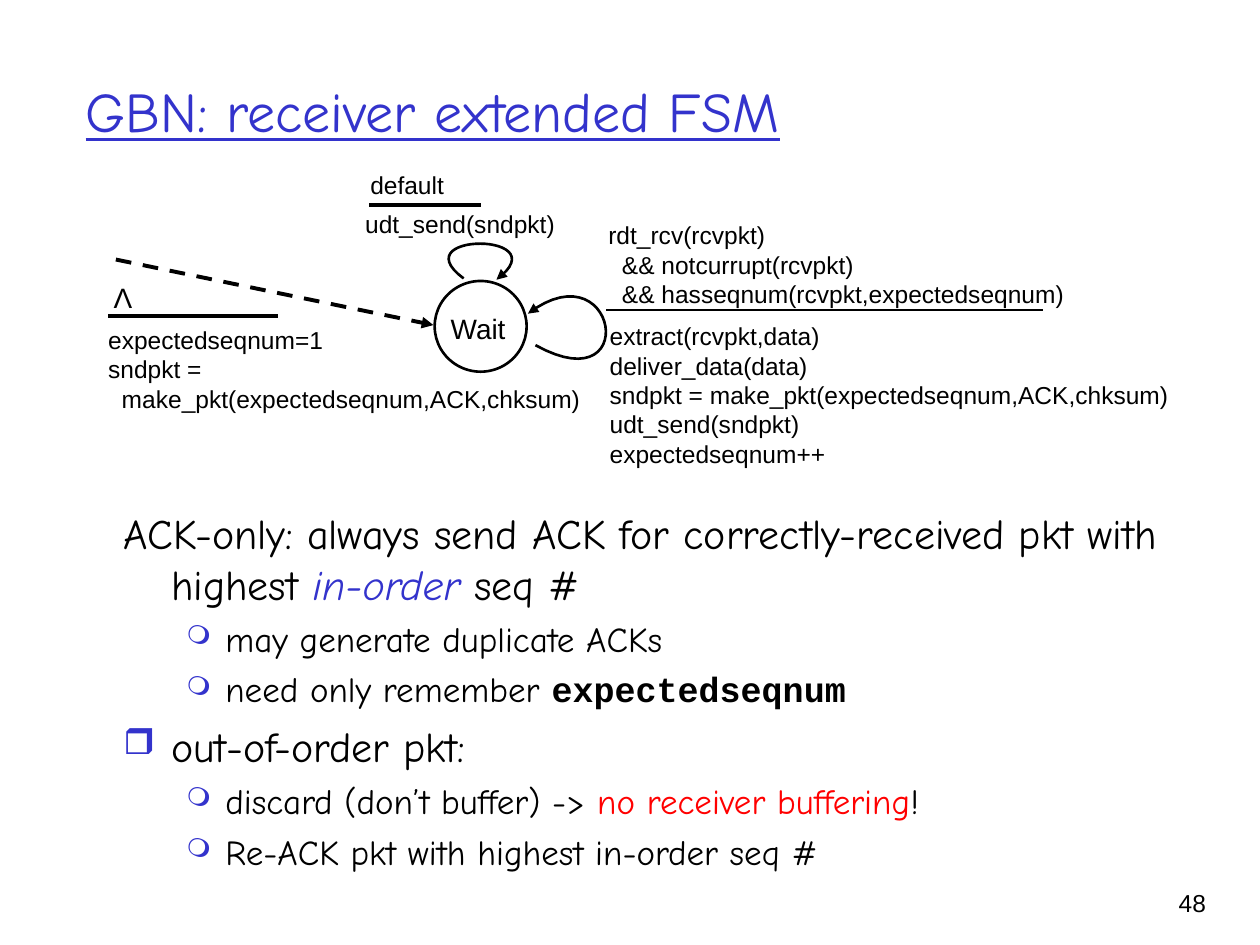
from pptx import Presentation
from pptx.dml.color import RGBColor
from pptx.enum.dml import MSO_LINE
from pptx.enum.shapes import MSO_CONNECTOR, MSO_SHAPE
from pptx.enum.text import MSO_ANCHOR, PP_ALIGN
from pptx.oxml.ns import qn
from pptx.util import Inches, Pt
from lxml.etree import SubElement

BLACK = RGBColor(0, 0, 0)
WHITE = RGBColor(255, 255, 255)
BLUE = RGBColor(0x33, 0x33, 0xCC)
RED = RGBColor(255, 0, 0)


def add_run(p, text, color=BLACK, **fmt):
    r = p.add_run()
    r.text = text
    r.font.color.rgb = color
    for name, value in fmt.items():
        setattr(r.font, name, value)


def style_line(sp, width, arrow=False, dash=None):
    sp.line.color.rgb = BLACK
    sp.line.width = Pt(width)
    if dash:
        sp.line.dash_style = dash
    spPr = sp._element.spPr
    if arrow:
        SubElement(spPr.find(qn("a:ln")), qn("a:tailEnd"), type="triangle")
    SubElement(spPr, qn("a:effectLst"))


prs = Presentation()
prs.slide_width, prs.slide_height = Inches(10), Inches(7.5)
s = prs.slides.add_slide(prs.slide_layouts[5])

title = s.shapes.title
title.left, title.top, title.width, title.height = [Inches(v) for v in (0.58, 0.25, 8.5, 1.25)]
tf = title.text_frame
tf.vertical_anchor = MSO_ANCHOR.MIDDLE
p = tf.paragraphs[0]
p.alignment = PP_ALIGN.LEFT
add_run(p, "GBN: receiver extended FSM", BLUE, name="Comic Neue", size=Pt(32), underline=True)

# level, bullet, runs
body = [
    (0, None, [("ACK-only: always send ACK for correctly-received pkt with highest ", {}),
               ("in-order", {"color": BLUE, "italic": True}), (" seq #", {})]),
    (1, "❍", [("may generate duplicate ACKs", {})]),
    (1, "❍", [("need only remember ", {}), ("expectedseqnum", {"name": "Courier New", "bold": True})]),
    (0, "❒", [("out-of-order pkt:", {})]),
    (1, "❍", [("discard (don’t buffer) -> ", {}), ("no receiver buffering", {"color": RED}), ("!", {})]),
    (1, "❍", [("Re-ACK pkt with highest in-order seq #", {})]),
]
levels = [
    {"size": 24, "margin": 0.38, "hang": 0.38, "before": 6, "bullet_size": "85000"},
    {"size": 20, "margin": 0.81, "hang": 0.31, "before": 5, "bullet_size": "75000"},
]
tf = s.shapes.add_textbox(Inches(0.88), Inches(3.98), Inches(8.91), Inches(3.12)).text_frame
tf.word_wrap = True
for i, (level, bullet, runs) in enumerate(body):
    p = tf.add_paragraph() if i else tf.paragraphs[0]
    style = levels[level]
    p.level = level
    if i:
        p.space_before = Pt(style["before"])
    pPr = p._p.get_or_add_pPr()
    pPr.set("marL", str(Inches(style["margin"])))
    pPr.set("indent", str(-Inches(style["hang"])))
    if bullet:
        clr = SubElement(pPr, qn("a:buClr"))
        SubElement(clr, qn("a:srgbClr"), val=str(BLUE))
        SubElement(pPr, qn("a:buSzPct"), val=style["bullet_size"])
        SubElement(pPr, qn("a:buChar"), char=bullet)
    for text, fmt in runs:
        add_run(p, text, **{"name": "Comic Neue", "size": Pt(style["size"]), **fmt})

state = s.shapes.add_shape(MSO_SHAPE.OVAL, Inches(3.45), Inches(2.23), Inches(0.73), Inches(0.72))
state.fill.solid()
state.fill.fore_color.rgb = WHITE
style_line(state, 1.5)

lines = [
    (0.92, 2.06, 3.44, 2.58, 2.25, True, MSO_LINE.DASH),
    (2.93, 1.63, 3.82, 1.63, 2.25, False, None),
    (4.81, 2.46, 8.28, 2.46, 1.5, False, None),
    (0.86, 2.51, 2.21, 2.51, 2.25, False, None),
]
for x1, y1, x2, y2, width, arrow, dash in lines:
    line = s.shapes.add_connector(MSO_CONNECTOR.STRAIGHT, Inches(x1), Inches(y1), Inches(x2), Inches(y2))
    style_line(line, width, arrow, dash)

loops = [
    [(4.25, 2.74), (5.1, 3.21), (4.9, 1.95), (4.19, 2.49)],
    [(3.68, 2.21), (3.18, 1.84), (4.45, 1.84), (3.94, 2.22)],
]
STEPS = 30
for controls in loops:
    points = []
    for t in [n / STEPS for n in range(STEPS + 1)]:
        weights = [(1 - t) ** 3, 3 * t * (1 - t) ** 2, 3 * t * t * (1 - t), t ** 3]
        points.append([Inches(sum(w * c[axis] for w, c in zip(weights, controls))) for axis in (0, 1)])
    fb = s.shapes.build_freeform(*points[0])
    fb.add_line_segments(points[1:], close=False)
    loop = fb.convert_to_shape()
    loop.fill.background()
    style_line(loop, 1.5, arrow=True)

labels = [
    (3.36, 2.42, 0.87, 0.26, 16, PP_ALIGN.CENTER, ["Wait"]),
    (2.8, 1.61, 1.77, 0.34, 14, PP_ALIGN.LEFT, ["udt_send(sndpkt)"]),
    (2.84, 1.3, 0.79, 0.27, 14, PP_ALIGN.LEFT, ["default"]),
    (4.73, 1.7, 3.9, 0.62, 14, PP_ALIGN.LEFT,
     ["rdt_rcv(rcvpkt)", "  && notcurrupt(rcvpkt)", "  && hasseqnum(rcvpkt,expectedseqnum)"]),
    (4.74, 2.5, 4.72, 0.94, 14, PP_ALIGN.LEFT,
     ["extract(rcvpkt,data)", "deliver_data(data)", "sndpkt = make_pkt(expectedseqnum,ACK,chksum)",
      "udt_send(sndpkt)", "expectedseqnum++"]),
    (0.76, 2.53, 3.98, 1.07, 14, PP_ALIGN.LEFT,
     ["expectedseqnum=1", "sndpkt =", "  make_pkt(expectedseqnum,ACK,chksum)"]),
    (0.8, 2.18, 0.35, 0.37, 16, PP_ALIGN.CENTER, ["Λ"]),
    (8.93, 7, 0.74, 0.5, 14, PP_ALIGN.RIGHT, ["48"]),
]
for x, y, w, h, size, align, texts in labels:
    tf = s.shapes.add_textbox(Inches(x), Inches(y), Inches(w), Inches(h)).text_frame
    tf.word_wrap = True
    for i, text in enumerate(texts):
        p = tf.add_paragraph() if i else tf.paragraphs[0]
        p.alignment = align
        add_run(p, text, name="Arial", size=Pt(size))

prs.save("out.pptx")
